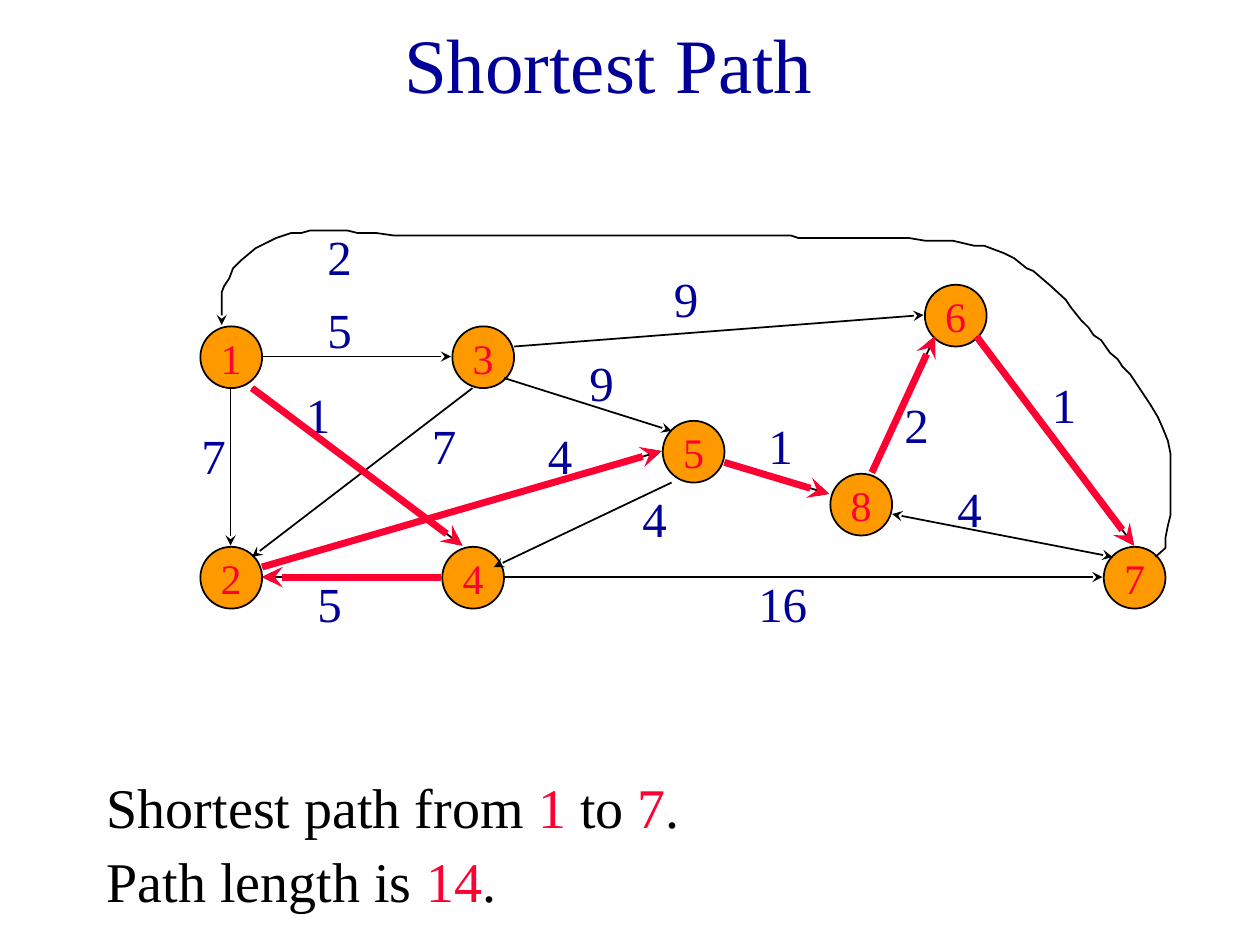
from lxml.etree import SubElement
from pptx import Presentation
from pptx.dml.color import RGBColor
from pptx.enum.shapes import MSO_CONNECTOR, MSO_SHAPE
from pptx.enum.text import MSO_ANCHOR, PP_ALIGN
from pptx.oxml.ns import qn
from pptx.util import Emu, Pt

PX = 9144
FONT = "Times New Roman"
COLORS = {"navy": "000099", "red": "FF0033", "black": "000000", "orange": "FF9900"}
NODE = 49
NODES = {
    "1": (9, 84), "2": (9, 259), "3": (209, 84), "4": (201, 259),
    "5": (376, 159), "6": (584, 51), "7": (726, 259), "8": (509, 201),
}
EDGES = [
    (33, 133, 33, 258), (58, 108, 208, 108), (225, 133, 50, 267),
    (250, 125, 383, 167), (383, 208, 242, 275), (250, 283, 725, 283),
    (258, 100, 583, 75),
]
ROUTE = [
    (50, 133, 217, 258), (200, 283, 58, 283), (58, 275, 375, 183),
    (425, 192, 508, 217), (542, 200, 592, 92), (625, 92, 750, 258),
]
TWO_WAY = (558, 233, 733, 267)
COSTS = [
    ("5", 100, 58), ("7", 0, 158), ("1", 83, 125), ("7", 183, 150),
    ("9", 375, 33), ("1", 450, 150), ("9", 308, 100), ("4", 275, 158),
    ("4", 350, 208), ("5", 92, 275), ("16", 442, 275), ("4", 600, 200),
    ("2", 100, 0), ("1", 675, 117), ("2", 558, 133),
]
CURVE = [
    (767, 267), (775, 260), (775, 252), (777, 242), (779, 234), (779, 185),
    (777, 175), (773, 165), (769, 156), (763, 146), (751, 128), (747, 122),
    (741, 116), (737, 110), (731, 105), (724, 95), (718, 91), (714, 85),
    (708, 79), (700, 69), (696, 63), (684, 52), (670, 40), (665, 38),
    (655, 30), (647, 26), (631, 20), (623, 20), (606, 16), (584, 16),
    (572, 14), (484, 14), (478, 12), (163, 12), (149, 10), (134, 10),
    (126, 8), (96, 8), (89, 10), (81, 10), (69, 14), (53, 22), (41, 32),
    (35, 38), (32, 46), (28, 52), (26, 57), (26, 83),
]


def px(*sizes):
    """Turn px into EMU lengths."""
    return [Emu(size * PX) for size in sizes]


def tint(name):
    """Return a named colour."""
    return RGBColor.from_string(COLORS[name])


def write(frame, *runs, size, color="navy", align=PP_ALIGN.LEFT,
          anchor=MSO_ANCHOR.TOP, wrap=True):
    """Fill a frame with runs, each a text or a text and colour pair."""
    frame.word_wrap = wrap
    frame.vertical_anchor = anchor
    para = frame.paragraphs[0]
    para.alignment = align
    for part in runs:
        text, name = (part, color) if isinstance(part, str) else part
        run = para.add_run()
        run.text = text
        run.font.name = FONT
        run.font.size = Pt(size)
        run.font.color.rgb = tint(name)


def stroke(shape, color="black", width=1, ends=()):
    """Draw an outline, with stealth arrowheads at the given ends."""
    shape.line.color.rgb = tint(color)
    shape.line.width = Pt(width)
    for end in ends:
        SubElement(shape.line._get_or_add_ln(), qn(f"a:{end}"), type="stealth")


def add_edge(shapes, box, edge, ends=("tailEnd",), **style):
    """Add one straight edge of the graph."""
    left, top = box
    x1, y1, x2, y2 = edge
    line = shapes.add_connector(
        MSO_CONNECTOR.STRAIGHT, *px(left + x1, top + y1, left + x2, top + y2))
    SubElement(line._element.spPr, qn("a:effectLst"))
    stroke(line, ends=ends, **style)


def add_node(shapes, box, name, spot):
    """Add one numbered node of the graph."""
    left, top = box
    x, y = spot
    node = shapes.add_shape(MSO_SHAPE.OVAL, *px(left + x, top + y, NODE, NODE))
    node.shadow.inherit = False
    node.fill.solid()
    node.fill.fore_color.rgb = tint("orange")
    stroke(node)
    frame = node.text_frame
    frame.margin_left = frame.margin_right = 0
    frame.margin_top = frame.margin_bottom = 0
    write(frame, name, size=24, color="red", align=PP_ALIGN.CENTER,
          anchor=MSO_ANCHOR.MIDDLE, wrap=False)


def add_curve(shapes, box):
    """Add the edge that loops back from node 7 to node 1."""
    left, top = box
    points = [(left + x, top + y) for x, y in CURVE]
    outline = shapes.build_freeform(*points[0], scale=PX)
    outline.add_line_segments(points[1:], close=False)
    curve = outline.convert_to_shape()
    curve.shadow.inherit = False
    curve.fill.background()
    stroke(curve, ends=("tailEnd",))


def add_graph(shapes, left, top):
    """Add the weighted graph with its shortest route marked."""
    box = left, top
    for name, spot in NODES.items():
        add_node(shapes, box, name, spot)
    for edge in EDGES + ROUTE:
        add_edge(shapes, box, edge)
    add_edge(shapes, box, TWO_WAY, ends=("headEnd", "tailEnd"))
    add_curve(shapes, box)
    for cost, x, y in COSTS:
        label = shapes.add_textbox(*px(left + x, top + y, 42 * len(cost), 57))
        write(label.text_frame, cost, size=28)
    for edge in ROUTE:
        add_edge(shapes, box, edge, color="red", width=4)


def add_title(slide, left, top, width, height):
    """Place and fill the title."""
    title = slide.shapes.title
    title.left, title.top, title.width, title.height = px(left, top, width, height)
    write(title.text_frame, "Shortest Path", size=44,
          align=PP_ALIGN.CENTER, anchor=MSO_ANCHOR.MIDDLE)


def add_notes(shapes, left, top, width, height):
    """Add the two lines that state the result."""
    lines = [
        ("Shortest path from ", ("1 ", "red"), "to ", ("7", "red"), "."),
        ("Path length is ", ("14", "red"), "."),
    ]
    for row, runs in enumerate(lines):
        note = shapes.add_textbox(*px(left, top + row * (height + 1), width, height))
        write(note.text_frame, *runs, size=32, color="black")


def main():
    """Build and save the slide."""
    deck = Presentation()
    deck.slide_width, deck.slide_height = px(1000, 750)
    slide = deck.slides.add_slide(deck.slide_layouts[5])
    add_title(slide, 58, 0, 850, 100)
    add_graph(slide.shapes, 150, 175)
    add_notes(slide.shapes, 75, 608, 850, 58)
    deck.save("out.pptx")


if __name__ == "__main__":
    main()
